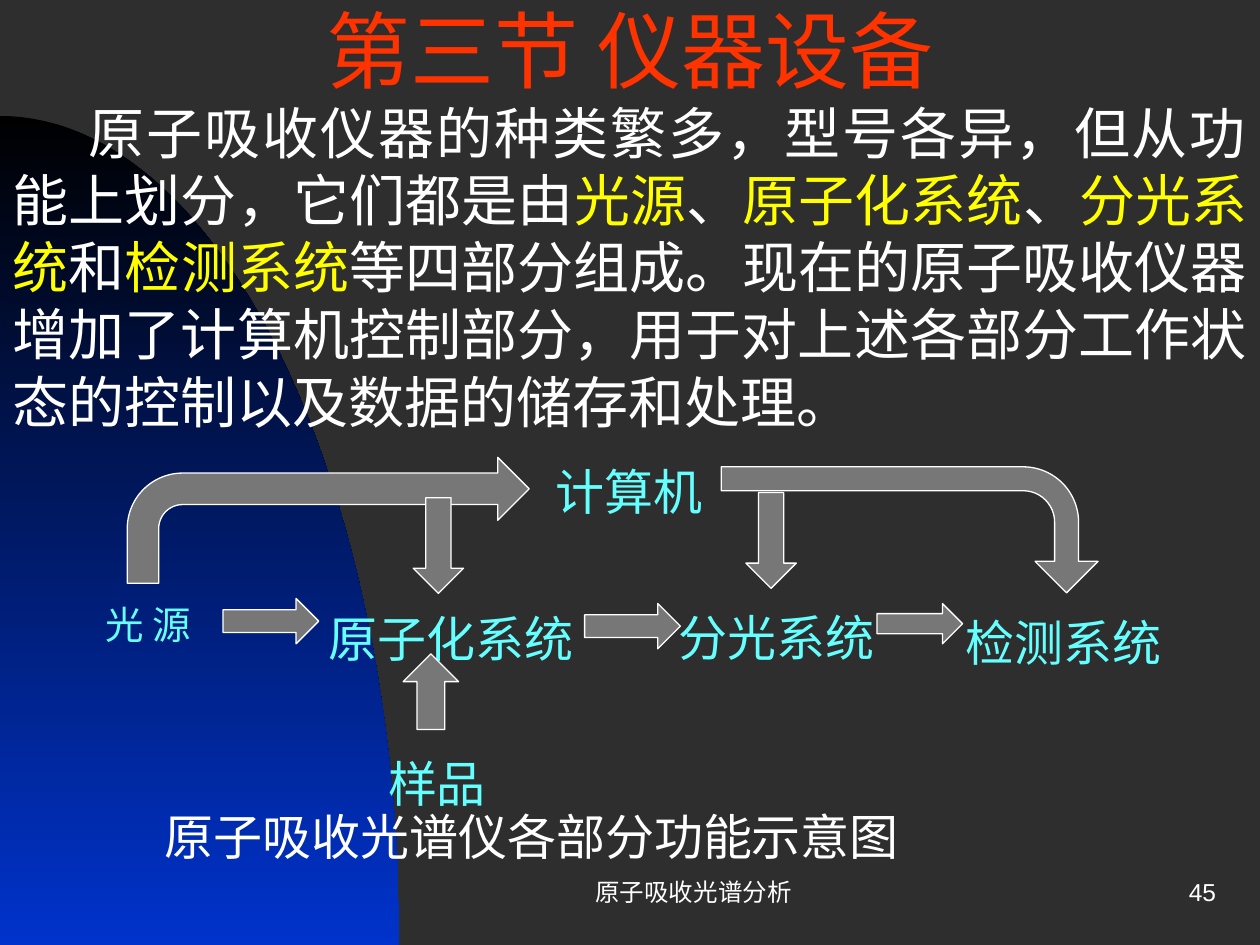
import math
from lxml import etree
from pptx import Presentation
from pptx import util as u
from pptx.dml import color
from pptx.enum import shapes, text
from pptx.oxml import ns

THEME = {
    "background": "2E2E2E", "top": "000000", "bottom": "0033CC",
    "title": "FF3300", "body": "FFFFFF", "accent": "FFFF00", "label": "66FFFF",
    "arrow": "777777", "outline": "FFFFFF",
    "cjk": "Noto Sans CJK SC", "serif": "Times New Roman", "sans": "Arial",
    "title_size": 48, "body_size": 32, "label_size": 28, "source_size": 22, "footer_size": 14,
}
ALIGN = text.PP_ALIGN
SHAPE = shapes.MSO_SHAPE

TITLE = "第三节 仪器设备"
BODY = [
    ("原子吸收仪器的种类繁多，型号各异，但从功能上划分，它们都是由", "body"),
    ("光源", "accent"), ("、", "body"),
    ("原子化系统", "accent"), ("、", "body"),
    ("分光系统", "accent"), ("和", "body"),
    ("检测系统", "accent"),
    ("等四部分组成。现在的原子吸收仪器增加了计算机控制部分，"
     "用于对上述各部分工作状态的控制以及数据的储存和处理。", "body"),
]
LABELS = [
    ("计算机", (4, 3.55, 1.98, 0.47), "label_size", ALIGN.CENTER, 0.05),
    ("原子化系统", (2.32, 4.35, 2.52, 0.77), "label_size", ALIGN.CENTER, 0.42),
    ("检测系统", (7.28, 4.75, 2.32, 0.51), "label_size", ALIGN.CENTER, 0.05),
    ("分光系统", (5.2, 4.71, 1.92, 0.6), "label_size", ALIGN.CENTER, 0.05),
    ("光 源", (0.53, 4.67, 1.29, 0.74), "source_size", ALIGN.CENTER, 0.05),
    ("样品", (2.96, 5.87, 1.12, 0.64), "label_size", ALIGN.JUSTIFY, 0.05),
]
BENT = (0.25, 0.25, 0.25, 0.44)
BENT_THIN = (0.19, 0.25, 0.25, 0.44)
ARROWS = [
    (SHAPE.UP_ARROW, (3.2, 5.19, 0.44, 0.6), 0, ()),
    (SHAPE.RIGHT_ARROW, (1.77, 4.75, 0.76, 0.36), 0, ()),
    (SHAPE.RIGHT_ARROW, (4.64, 4.79, 0.76, 0.36), 0, ()),
    (SHAPE.RIGHT_ARROW, (6.96, 4.79, 0.68, 0.32), 0, ()),
    (SHAPE.BENT_ARROW, (6.72, 2.71, 1, 2.99), 90, BENT_THIN),
    (SHAPE.DOWN_ARROW, (5.92, 3.91, 0.4, 0.76), 0, ()),
    (SHAPE.BENT_ARROW, (1.01, 3.63, 3.19, 1), 0, BENT),
    (SHAPE.DOWN_ARROW, (3.28, 3.95, 0.4, 0.76), 0, ()),
]
CAPTIONS = [
    ("原子吸收光谱仪各部分功能示意图", (1.21, 6.35, 6.99, 0.57), "label_size", "serif",
     ALIGN.LEFT, text.MSO_ANCHOR.TOP),
    ("原子吸收光谱分析", (3.92, 6.83, 3.17, 0.5), "footer_size", "sans",
     ALIGN.CENTER, text.MSO_ANCHOR.MIDDLE),
    ("45", (7.67, 6.83, 2.08, 0.5), "footer_size", "sans",
     ALIGN.RIGHT, text.MSO_ANCHOR.MIDDLE),
]


def rgb(name):
    return color.RGBColor.from_string(THEME[name])


def inches(box):
    return [u.Inches(value) for value in box]


def add_run(paragraph, words, size, ink, face, shadow=False):
    run = paragraph.add_run()
    run.text = words
    font = run.font
    font.size = u.Pt(THEME[size])
    font.color.rgb = rgb(ink)
    properties = run._r.get_or_add_rPr()
    if shadow:
        effects = etree.SubElement(properties, ns.qn("a:effectLst"))
        outer = etree.SubElement(effects, ns.qn("a:outerShdw"), dist="25400", dir="2700000")
        etree.SubElement(outer, ns.qn("a:srgbClr"), val="000000")
    font.name = THEME[face]
    if face == "cjk":
        etree.SubElement(properties, ns.qn("a:ea"), typeface=THEME[face])


def place(shape, box, anchor):
    shape.left, shape.top, shape.width, shape.height = inches(box)
    frame = shape.text_frame
    frame.word_wrap = True
    frame.auto_size = text.MSO_AUTO_SIZE.NONE
    frame.vertical_anchor = anchor
    return frame.paragraphs[0]


def add_backdrop(slide):
    slide.background.fill.solid()
    slide.background.fill.fore_color.rgb = rgb("background")
    width, height, steps = 3.17, 6.58, 60
    angles = [math.pi / 2 * step / steps for step in range(steps + 1)]
    curve = [(width * math.sin(angle), 7.5 - height * math.cos(angle)) for angle in angles]
    points = [inches(point) for point in curve + [(0, 7.5)]]
    builder = slide.shapes.build_freeform(*points[0])
    builder.add_line_segments(points[1:], close=True)
    arc = builder.convert_to_shape()
    arc.shadow.inherit = False
    arc.line.fill.background()
    arc.fill.gradient()
    arc.fill.gradient_angle = 270
    for stop, name in zip(arc.fill.gradient_stops, ("top", "bottom")):
        stop.color.rgb = rgb(name)
    slide.shapes._spTree.insert(2, arc._element)


def add_heading(slide):
    paragraph = place(slide.shapes.title, (0, -0.1, 10, 0.97), text.MSO_ANCHOR.MIDDLE)
    paragraph.alignment = ALIGN.CENTER
    add_run(paragraph, TITLE, "title_size", "title", "cjk", True)
    paragraph = place(slide.placeholders[1], (0, 0.73, 10, 2.8), text.MSO_ANCHOR.TOP)
    properties = paragraph._p.get_or_add_pPr()
    properties.set("marL", "0")
    properties.set("indent", str(u.Inches(0.6)))
    etree.SubElement(properties, ns.qn("a:buNone"))
    paragraph.alignment = ALIGN.JUSTIFY
    paragraph.space_before = u.Pt(0)
    for words, ink in BODY:
        add_run(paragraph, words, "body_size", ink, "serif", True)


def add_label(slide, words, box, size, alignment, top):
    table = slide.shapes.add_table(1, 1, *inches(box)).table
    table.first_row = table.horz_banding = False
    style = table._tbl.tblPr.find(ns.qn("a:tableStyleId"))
    style.text = "{2D5ABB26-0587-4C30-8999-92F81FD0307C}"
    cell = table.cell(0, 0)
    cell.fill.background()
    cell.margin_left = cell.margin_right = u.Inches(0.12)
    cell.margin_top = u.Inches(top)
    paragraph = cell.text_frame.paragraphs[0]
    paragraph.alignment = alignment
    add_run(paragraph, words, size, "label", "cjk")


def add_arrow(slide, kind, box, rotation, adjustments):
    arrow = slide.shapes.add_shape(kind, *inches(box))
    arrow.rotation = rotation
    for index, value in enumerate(adjustments):
        arrow.adjustments[index] = value
    arrow.shadow.inherit = False
    arrow.fill.solid()
    arrow.fill.fore_color.rgb = rgb("arrow")
    arrow.line.color.rgb = rgb("outline")
    arrow.line.width = u.Pt(0.75)


def add_caption(slide, words, box, size, face, alignment, anchor):
    paragraph = place(slide.shapes.add_textbox(*inches(box)), box, anchor)
    paragraph.alignment = alignment
    add_run(paragraph, words, size, "body", face)


def main():
    presentation = Presentation()
    presentation.slide_width, presentation.slide_height = inches((10, 7.5))
    slide = presentation.slides.add_slide(presentation.slide_layouts[1])
    add_backdrop(slide)
    add_heading(slide)
    for label in LABELS:
        add_label(slide, *label)
    for arrow in ARROWS:
        add_arrow(slide, *arrow)
    for caption in CAPTIONS:
        add_caption(slide, *caption)
    presentation.save("out.pptx")


if __name__ == "__main__":
    main()
